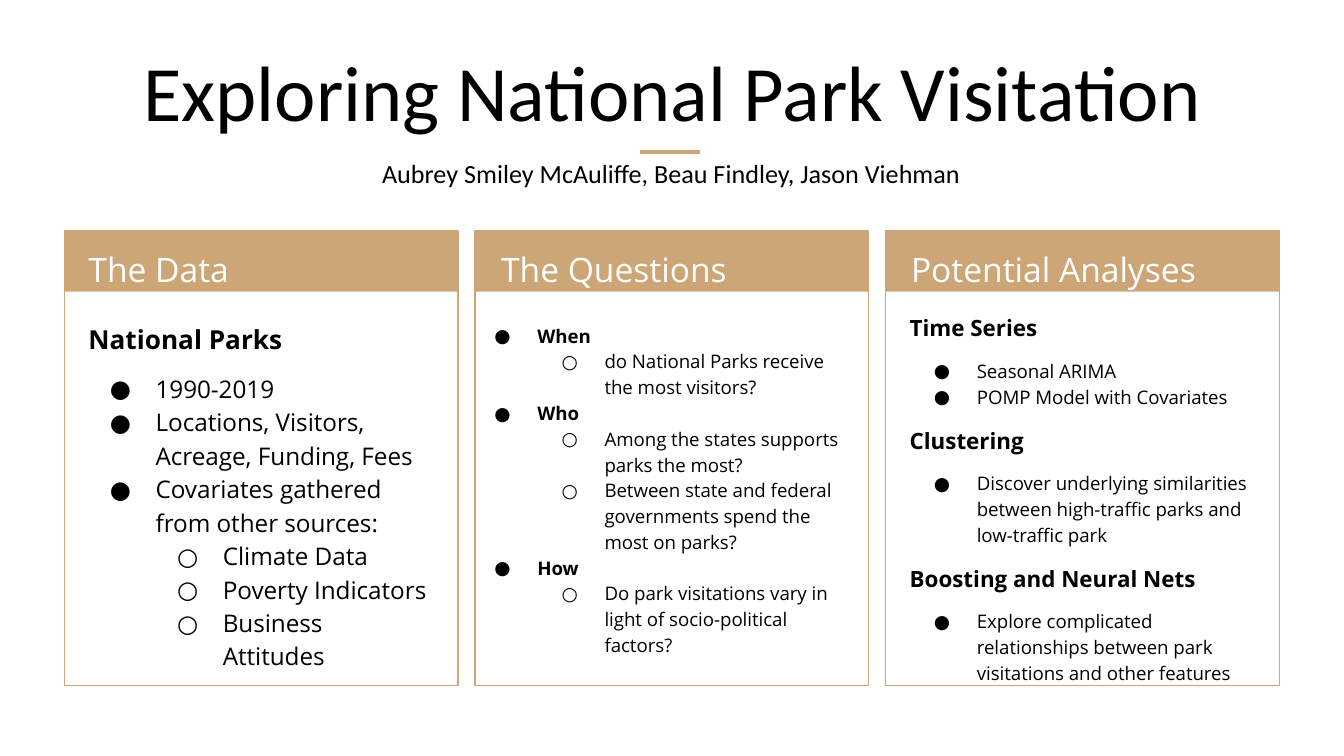
"""Build the National Park visitation overview slide with three topic cards."""
from lxml import etree
from pptx import Presentation
from pptx import util as u
from pptx.dml.color import RGBColor
from pptx.enum import shapes, text
from pptx.oxml.ns import qn

COLORS = {"tan": "CCA677", "ink": "000000", "paper": "FFFFFF"}
BODY_FONT, TITLE_FONT = "Open Sans", "Calibri"
BULLETS = {1: "●", 2: "○"}
HEADING, ITEM, SUBITEM = 0, 1, 2
CARD_LEFT, CARD_TOP, CARD_STEP = 0.48, 1.72, 3.055
CARD_WIDTH, CARD_HEIGHT, BAND_HEIGHT = 2.93, 3.38, 0.45

CARDS = [
    {
        "title": "The Data", "title_left": 0.56,
        "body": (0.56, 2.27, 2.73, 2.8),
        "heading_size": 14, "item_size": 13, "hanging": 0.34,
        "lines": [
            (HEADING, "National Parks"),
            (ITEM, "1990-2019"),
            (ITEM, "Locations, Visitors, Acreage, Funding, Fees"),
            (ITEM, "Covariates gathered from other sources:"),
            (SUBITEM, "Climate Data"),
            (SUBITEM, "Poverty Indicators"),
            (SUBITEM, "Business Attitudes"),
        ],
    },
    {
        "title": "The Questions", "title_left": 3.63,
        "body": (3.4, 2.29, 3.06, 2.8),
        "item_size": 10, "hanging": 0.32, "bold_items": True,
        "lines": [
            (ITEM, "When"),
            (SUBITEM, "do National Parks receive the most visitors?"),
            (ITEM, "Who"),
            (SUBITEM, "Among the states supports parks the most?"),
            (SUBITEM, "Between state and federal governments spend the most on parks?"),
            (ITEM, "How"),
            (SUBITEM, "Do park visitations vary in light of socio-political factors?"),
        ],
    },
    {
        "title": "Potential Analyses", "title_left": 6.68,
        "body": (6.67, 2.21, 2.73, 2.92),
        "heading_size": 12, "item_size": 10, "hanging": 0.32,
        "lines": [
            (HEADING, "Time Series"),
            (ITEM, "Seasonal ARIMA"),
            (ITEM, "POMP Model with Covariates"),
            (HEADING, "Clustering"),
            (ITEM, "Discover underlying similarities between high-traffic parks and low-traffic park"),
            (HEADING, "Boosting and Neural Nets"),
            (ITEM, "Explore complicated relationships between park visitations and other features"),
        ],
    },
]


def rgb(name):
    """Return the named palette colour."""
    return RGBColor.from_string(COLORS[name])


def add_frame(slide, left, top, width, height):
    """Add a wrapping, top-anchored text box and return its text frame."""
    box = slide.shapes.add_textbox(*map(u.Inches, (left, top, width, height)))
    frame = box.text_frame
    frame.word_wrap = True
    frame.vertical_anchor = text.MSO_ANCHOR.TOP
    for side in ("left", "top", "right", "bottom"):
        setattr(frame, f"margin_{side}", u.Inches(0.1))
    return frame


def write(paragraph, words, size, font=BODY_FONT, color="ink", bold=False,
          align=text.PP_ALIGN.LEFT, spacing=1.15, before=0):
    """Put one formatted run of text in a paragraph."""
    paragraph.alignment = align
    paragraph.line_spacing = spacing
    paragraph.space_before = u.Pt(before)
    run = paragraph.add_run()
    run.text = words
    run.font.size = u.Pt(size)
    run.font.name = font
    run.font.bold = bold
    run.font.color.rgb = rgb(color)


def add_bullet(paragraph, level, hanging):
    """Give a paragraph a coloured bullet and a hanging indent."""
    paragraph.level = level - 1
    props = paragraph._p.get_or_add_pPr()
    props.set("marL", str(u.Inches(0.5 * level)))
    props.set("indent", str(-u.Inches(hanging)))
    tint = etree.SubElement(props, qn("a:buClr"))
    etree.SubElement(tint, qn("a:srgbClr"), val=COLORS["ink"])
    etree.SubElement(props, qn("a:buFont"), typeface=BODY_FONT)
    etree.SubElement(props, qn("a:buChar"), char=BULLETS[level])


def add_panel(group, left, height, fill=None, line=None):
    """Add a card rectangle with either a fill or an outline."""
    panel = group.shapes.add_shape(
        shapes.MSO_SHAPE.RECTANGLE,
        *map(u.Inches, (left, CARD_TOP, CARD_WIDTH, height)))
    panel.shadow.inherit = False
    if fill:
        panel.fill.solid()
        panel.fill.fore_color.rgb = rgb(fill)
    else:
        panel.fill.background()
    if line:
        panel.line.color.rgb = rgb(line)
        panel.line.width = u.Pt(0.75)
    else:
        panel.line.fill.background()


def add_card(slide, left, card):
    """Add one outlined card with its title band and list."""
    group = slide.shapes.add_group_shape()
    add_panel(group, left, CARD_HEIGHT, line="tan")
    add_panel(group, left, BAND_HEIGHT, fill="tan")
    band = add_frame(slide, card["title_left"], 1.71, 2.72, BAND_HEIGHT)
    write(band.paragraphs[0], card["title"], 18, color="paper")

    body = add_frame(slide, *card["body"])
    previous = None
    for level, words in card["lines"]:
        first = previous is None
        paragraph = body.paragraphs[0] if first else body.add_paragraph()
        heading = level == HEADING
        spaced = not first and HEADING in (level, previous)
        write(paragraph, words,
              card["heading_size"] if heading else card["item_size"],
              bold=heading or (level == ITEM and card.get("bold_items", False)),
              before=8 if spaced else 0)
        if not heading:
            add_bullet(paragraph, level, card["hanging"])
        previous = level


def add_rule(slide, start, end, top):
    """Add the short accent line under the title."""
    rule = slide.shapes.add_connector(
        shapes.MSO_CONNECTOR.STRAIGHT, *map(u.Inches, (start, top, end, top)))
    rule.line.color.rgb = rgb("tan")
    rule.line.width = u.Pt(2.25)
    etree.SubElement(rule._element.spPr, qn("a:effectLst"))


def main():
    """Build and save the slide."""
    deck = Presentation()
    deck.slide_width, deck.slide_height = u.Inches(10), u.Inches(10 * 9 / 16)
    slide = deck.slides.add_slide(deck.slide_layouts[6])
    slide.background.fill.solid()
    slide.background.fill.fore_color.rgb = rgb("paper")

    centred = {"font": TITLE_FONT, "align": text.PP_ALIGN.CENTER, "spacing": 1.0}
    title = add_frame(slide, 0.34, 0.22, 9.32, 0.91)
    write(title.paragraphs[0], "Exploring National Park Visitation", 42, **centred)
    add_rule(slide, 4.76, 5.21, 1.13)
    for index, card in enumerate(CARDS):
        add_card(slide, CARD_LEFT + index * CARD_STEP, card)
    authors = add_frame(slide, 2.47, 1.07, 5.05, 0.51)
    write(authors.paragraphs[0],
          "Aubrey Smiley McAuliffe, Beau Findley, Jason Viehman", 14, **centred)
    deck.save("out.pptx")


if __name__ == "__main__":
    main()
